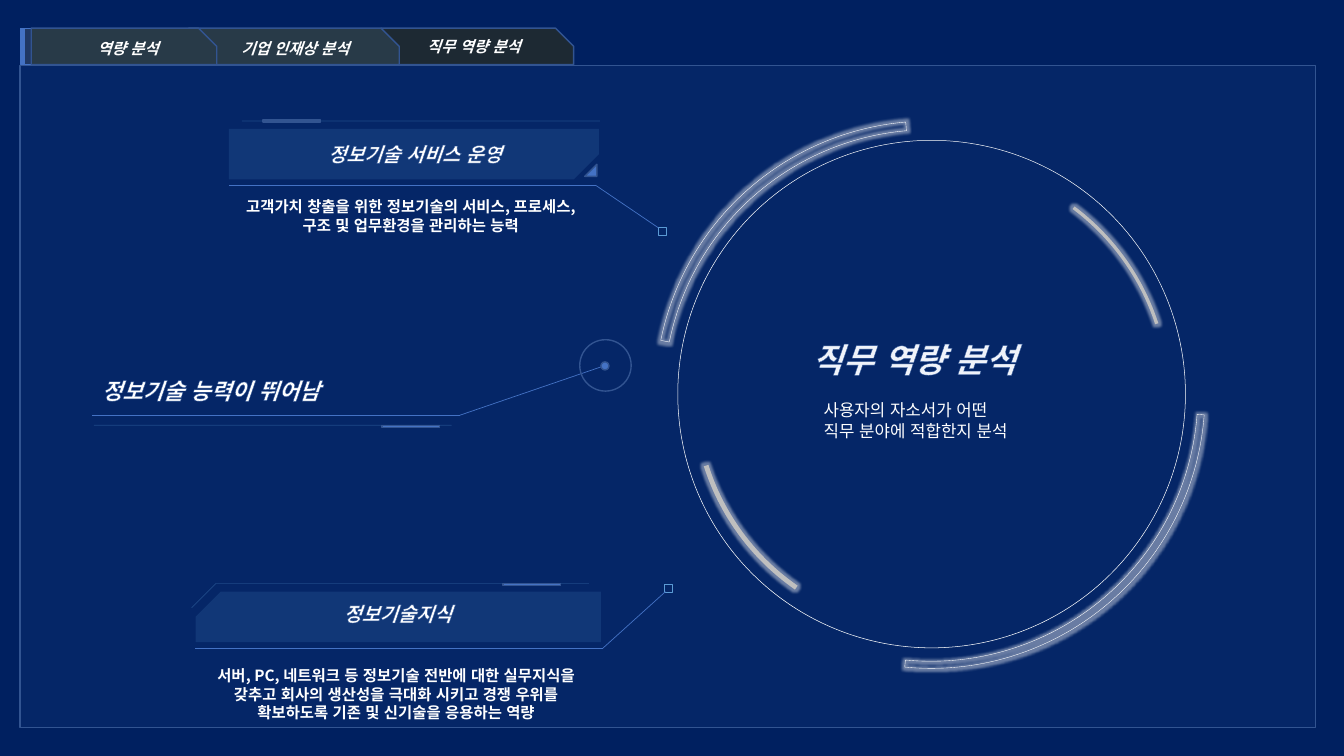
from lxml import etree
from pptx import Presentation
from pptx.dml.color import RGBColor
from pptx.enum import shapes, text
from pptx.oxml import parse_xml
from pptx.oxml.ns import nsdecls, qn
from pptx.util import Inches, Pt

FONT = "Noto Sans CJK KR"
NAVY = RGBColor(0x00, 0x20, 0x60)
DEEP = RGBColor(0x20, 0x38, 0x64)
BLUE = RGBColor(0x44, 0x72, 0xC4)
EDGE = RGBColor(0x32, 0x54, 0x91)
SKY = RGBColor(0x5B, 0x9B, 0xD5)
SLATE = RGBColor(0x28, 0x3A, 0x48)
DARK = RGBColor(0x1D, 0x29, 0x33)
OUTLINE = RGBColor(0x2F, 0x55, 0x97)
SILVER = RGBColor(0xBF, 0xBF, 0xBF)
WHITE = RGBColor(0xFF, 0xFF, 0xFF)
KIND = shapes.MSO_SHAPE
ALIGN = text.PP_ALIGN


def set_alpha(color_parent, percent):
    color = color_parent.find(".//" + qn("a:srgbClr"))
    etree.SubElement(color, qn("a:alpha")).set("val", str(percent * 1000))


def add_shape(s, kind, box, fill=None, line=None, width=1, alpha=None,
              adj=(), rot=0, flip=None):
    sp = s.shapes.add_shape(kind, *map(Inches, box))
    sp.shadow.inherit = False
    for i, value in enumerate(adj):
        sp.adjustments[i] = value
    sp.rotation = rot
    if flip:
        sp._element.spPr.find(qn("a:xfrm")).set(flip, "1")
    if fill is None:
        sp.fill.background()
    else:
        sp.fill.solid()
        sp.fill.fore_color.rgb = fill
        if alpha:
            set_alpha(sp._element.spPr.find(qn("a:solidFill")), alpha)
    if line is None:
        sp.line.fill.background()
    else:
        sp.line.color.rgb = line
        sp.line.width = Pt(width)
    return sp


def add_arc(s, box, rot, adj, fill=None, line=None):
    sp = add_shape(s, KIND.BLOCK_ARC, box, fill, line, 0.25, adj=adj, rot=rot)
    effects = sp._element.spPr.find(qn("a:effectLst"))
    effects.append(parse_xml(
        f'<a:glow {nsdecls("a")} rad="{Inches(0.05)}"><a:srgbClr val="{WHITE}">'
        '<a:alpha val="40000"/></a:srgbClr></a:glow>'))


def add_path(s, points, color=BLUE, alpha=None):
    for start, end in zip(points, points[1:]):
        cx = s.shapes.add_connector(shapes.MSO_CONNECTOR.STRAIGHT,
                                    *map(Inches, start + end))
        cx.line.color.rgb = color
        cx.line.width = Pt(0.5)
        spPr = cx._element.spPr
        if alpha:
            set_alpha(spPr, alpha)
        etree.SubElement(spPr, qn("a:effectLst"))


def format_text(sp, content, size, bold=True, italic=False, align=ALIGN.CENTER,
                outline=False):
    tf = sp.text_frame
    tf.text = content
    tf.word_wrap = True
    tf.auto_size = text.MSO_AUTO_SIZE.NONE
    tf.vertical_anchor = text.MSO_ANCHOR.TOP
    for p in tf.paragraphs:
        p.alignment = align
        p.line_spacing = 1.0
        for r in p.runs:
            f = r.font
            f.name, f.size, f.bold, f.italic = FONT, Pt(size), bold, italic
            f.color.rgb = WHITE
            rPr = r._r.get_or_add_rPr()
            rPr.set("lang", "ko-KR")
            rPr.find(qn("a:latin")).addnext(
                parse_xml(f'<a:ea {nsdecls("a")} typeface="{FONT}"/>'))
            if outline:
                rPr.insert(0, parse_xml(
                    f'<a:ln {nsdecls("a")} w="{Pt(0.25)}"><a:solidFill>'
                    f'<a:srgbClr val="{OUTLINE}"/></a:solidFill></a:ln>'))


def add_text(s, box, content, size, **style):
    format_text(s.shapes.add_textbox(*map(Inches, box)), content, size, **style)


def add_tab(s, left, width, fill, label, label_box):
    add_shape(s, KIND.SNIP_1_RECTANGLE, (left, 0.28, width, 0.36), fill, EDGE,
              adj=[0.5])
    add_text(s, label_box, label, 11, italic=True)


def add_accent(s, left, top):
    add_shape(s, KIND.RECTANGLE, (left, top, 0.57, 0.02), BLUE, EDGE)


def add_banner(s, box, flip, label, label_box, detail, detail_box):
    add_shape(s, KIND.SNIP_1_RECTANGLE, box, SKY, alpha=15, adj=[0.5], flip=flip)
    add_text(s, label_box, label, 14, italic=True, outline=True)
    add_text(s, detail_box, detail, 11)


def add_node(s, left, top):
    add_shape(s, KIND.RECTANGLE, (left, top, 0.08, 0.08), line=SKY, width=0.5)


def add_frame(s):
    add_tab(s, 3.78, 1.91, DARK, "직무 역량 분석", (3.88, 0.32, 1.64, 0.29))
    add_tab(s, 1.87, 2.09, SLATE, "기업 인재상 분석", (2.03, 0.34, 1.8, 0.29))
    add_shape(s, KIND.RECTANGLE, (0.2, 0.65, 12.85, 6.57), BLUE, EDGE, alpha=8)
    add_shape(s, KIND.RECTANGLE, (0.2, 0.28, 0.04, 0.36), BLUE, BLUE, 0.5)
    add_shape(s, KIND.RECTANGLE, (0.24, 0.28, 0.08, 0.36), DEEP, BLUE, 0.5)
    add_tab(s, 0.31, 1.84, SLATE, "역량 분석", (0.29, 0.34, 1.96, 0.29))


def add_dial(s):
    add_arc(s, (6.5, 1.2, 5.43, 5.43), 280, (162.876, 207.066, 0.016), line=WHITE)
    add_arc(s, (6.52, 1.2, 5.43, 5.43), 187.1, (106.271, 161.068, 0.013), line=WHITE)
    add_shape(s, KIND.BLOCK_ARC, (6.72, 1.39, 5.04, 5.04), WHITE,
              adj=(163.259, 163.191, 0.001), rot=38)
    add_arc(s, (6.88, 1.57, 4.72, 4.73), 111.2, (117.425, 138.512, 0.007), SILVER)
    add_arc(s, (6.87, 1.55, 4.72, 4.72), 276.2, (125.125, 147.68, 0.01), SILVER)
    s.shapes.title.left, s.shapes.title.top = Inches(7.95), Inches(3.31)
    s.shapes.title.width, s.shapes.title.height = Inches(2.6), Inches(0.5)
    format_text(s.shapes.title, "직무 역량 분석", 24, italic=True,
                align=ALIGN.LEFT, outline=True)
    add_text(s, (8.07, 3.92, 2.28, 0.5),
             "사용자의 자소서가 어떤\n직무 분야에 적합한지 분석", 12,
             bold=False, align=ALIGN.LEFT)


def add_service(s):
    add_banner(s, (2.27, 1.28, 3.67, 0.5), "flipV",
               "정보기술 서비스 운영", (2.27, 1.36, 3.69, 0.34),
               "고객가치 창출을 위한 정보기술의 서비스, 프로세스, "
               "구조 및 업무환경을 관리하는 능력", (2.24, 1.91, 3.67, 0.47))
    add_path(s, [(5.95, 1.2), (2.4, 1.2)], SKY, 30)
    add_accent(s, 2.61, 1.19)
    add_node(s, 6.53, 2.26)
    add_path(s, [(6.53, 2.26), (5.91, 1.84), (2.27, 1.84)])
    add_shape(s, KIND.RIGHT_TRIANGLE, (5.8, 1.63, 0.12, 0.12), BLUE, EDGE,
              flip="flipH")


def add_ability(s):
    add_path(s, [(5.99, 3.63), (4.56, 4.12), (0.91, 4.12)])
    add_shape(s, KIND.OVAL, (5.75, 3.37, 0.51, 0.51), line=EDGE)
    add_shape(s, KIND.OVAL, (5.96, 3.59, 0.08, 0.08), BLUE, EDGE)
    add_path(s, [(4.48, 4.22), (0.93, 4.22)], SKY, 30)
    add_accent(s, 3.79, 4.22)
    add_text(s, (0.91, 3.69, 3.6, 0.37), "정보기술 능력이 뛰어남", 16,
             italic=True, align=ALIGN.LEFT, outline=True)


def add_knowledge(s):
    add_node(s, 6.59, 5.8)
    add_path(s, [(6.6, 5.87), (5.98, 6.43), (1.93, 6.43)])
    add_banner(s, (1.94, 5.87, 4.02, 0.5), "flipH",
               "정보기술지식", (1.94, 5.92, 4.01, 0.34),
               "서버, PC, 네트워크 등 정보기술 전반에 대한 실무지식을 "
               "갖추고 회사의 생산성을 극대화 시키고 경쟁 우위를 "
               "확보하도록 기존 및 신기술을 응용하는 역량",
               (1.9, 6.56, 4.06, 0.66))
    add_path(s, [(5.84, 5.79), (2.14, 5.79), (1.9, 6.03)], SKY, 30)
    add_accent(s, 4.99, 5.79)


def main():
    prs = Presentation()
    prs.slide_width, prs.slide_height = Inches(13.33), Inches(7.5)
    s = prs.slides.add_slide(prs.slide_layouts[5])
    s.background.fill.solid()
    s.background.fill.fore_color.rgb = NAVY
    add_frame(s)
    add_dial(s)
    add_service(s)
    add_ability(s)
    add_knowledge(s)
    prs.save("out.pptx")


if __name__ == "__main__":
    main()
